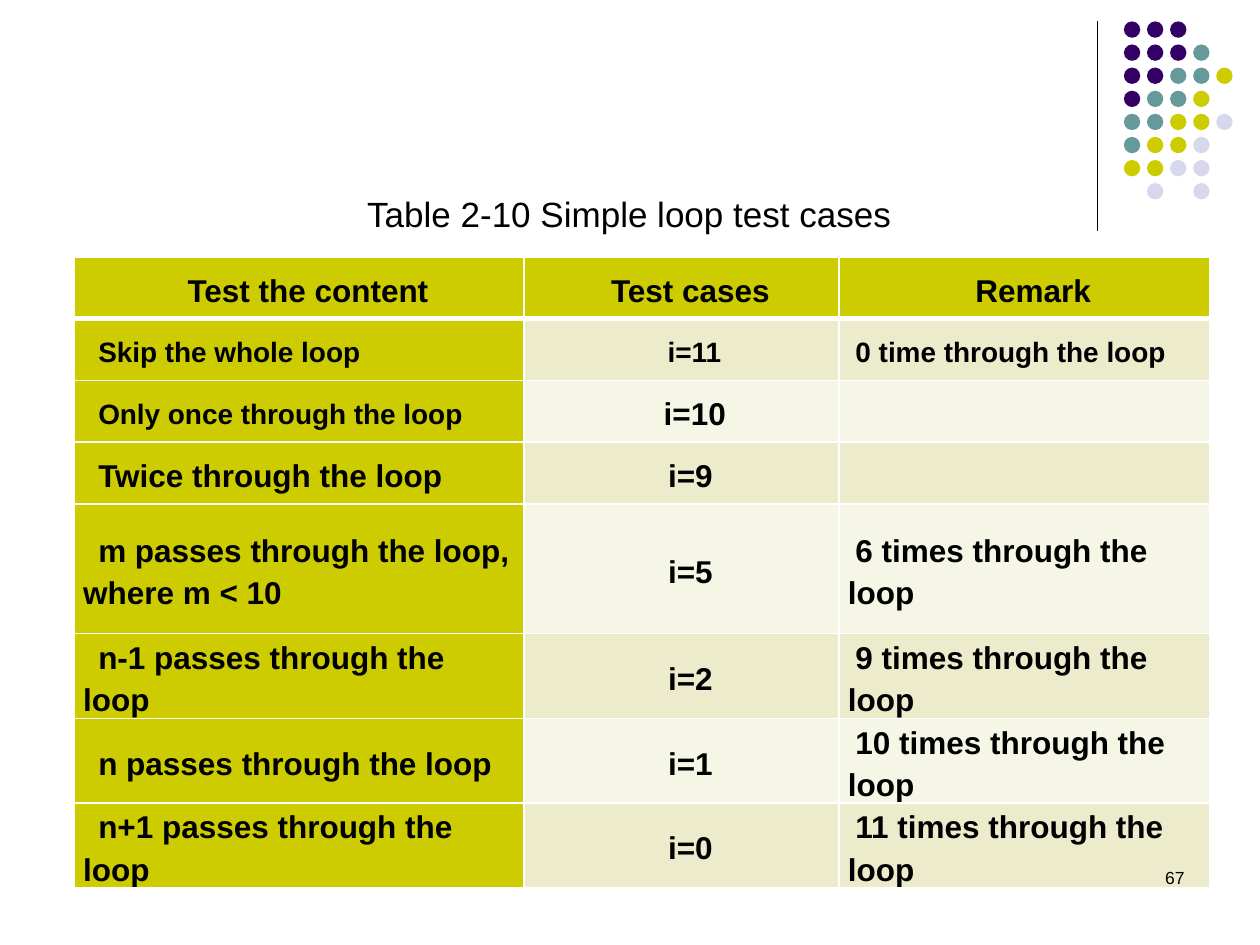
"""Build a slide with a table of simple loop test cases."""
from dataclasses import dataclass
from typing import Any

from lxml import etree
from pptx import Presentation
from pptx.dml.color import RGBColor
from pptx.enum.shapes import MSO_CONNECTOR, MSO_SHAPE
from pptx.enum.text import MSO_ANCHOR, PP_ALIGN
from pptx.oxml.ns import qn
from pptx.util import Inches, Pt

LEFT, CENTER, RIGHT = PP_ALIGN.LEFT, PP_ALIGN.CENTER, PP_ALIGN.RIGHT
MIDDLE = MSO_ANCHOR.MIDDLE
OVAL = MSO_SHAPE.OVAL
STRAIGHT = MSO_CONNECTOR.STRAIGHT


@dataclass(frozen=True)
class Theme:
    font: str = "Arial"
    text: str = "000000"
    border: str = "FFFFFF"
    header: str = "CCCC00"
    bands: tuple[str, str] = ("ECECCC", "F6F6E7")
    caption_size: int = 20
    table_size: int = 18
    small_size: int = 16
    number_size: int = 10


@dataclass(frozen=True)
class Label:
    text: str
    left: float
    top: float
    width: float
    height: float
    size: int
    alignment: PP_ALIGN


@dataclass(frozen=True)
class LoopCase:
    content: str
    case: str
    remark: str = ""
    sizes: tuple[int, int, int] = (Theme.table_size,) * 3
    height: float = 0.49


THEME = Theme()
SMALL, LARGE = THEME.small_size, THEME.table_size
DOT_COLORS = {"P": "330066", "T": "669999", "Y": "CCCC00", "L": "D8D8EC"}
DOT_ROWS = ("PPP", "PPPT", "PPTTY", "PTTY", "TTYYL", "TYYL", "YYLL", " L L")
DOT_LEFT, DOT_TOP, DOT_SIZE, DOT_PITCH = 8.92, 0.17, 0.13, 0.55 / 3
COLUMN_WIDTHS = (3.57, 2.5, 2.94)
COLUMN_INDENTS = (0.12, 0.14, 0.06)
HEADER_INDENT = 0.14
COLUMN_ALIGNMENTS = (LEFT, CENTER, LEFT)
CASES = (
    LoopCase("Test the content", "Test cases", "Remark"),
    LoopCase("Skip the whole loop", " i=11", "0 time through the loop", (SMALL,) * 3),
    LoopCase("Only once through the loop", " i=10", sizes=(SMALL, LARGE, LARGE)),
    LoopCase("Twice through the loop", "i=9"),
    LoopCase("m passes through the loop, where m < 10", "i=5",
             "6 times through the loop", height=1.03),
    LoopCase("n-1 passes through the loop", "i=2", "9 times through the loop"),
    LoopCase("n passes through the loop", "i=1", "10 times through the loop"),
    LoopCase("n+1 passes through the loop", "i=0", "11 times through the loop"),
)
LABELS = (
    Label("Table 2-10 Simple loop test cases", 1.54, 1.48, 6.91, 0.44,
          THEME.caption_size, CENTER),
    Label("67", 7.17, 6.83, 2.33, 0.5, THEME.number_size, RIGHT),
)


def apply_format(target: Any, values: dict[str, Any]) -> None:
    """Set every attribute named in the dict."""
    for name, value in values.items():
        setattr(target, name, value)


def paint(fill: Any, color: str) -> None:
    """Give a fill one solid colour."""
    fill.solid()
    fill.fore_color.rgb = RGBColor.from_string(color)


def write(paragraph: Any, text: str, size: int, bold: bool = False) -> None:
    """Write text in the theme font."""
    font = paragraph.font
    if text:
        run = paragraph.add_run()
        run.text = text
        font = run.font
    apply_format(font, {"name": THEME.font, "size": Pt(size), "bold": bold})
    font.color.rgb = RGBColor.from_string(THEME.text)


def draw_dots(slide: Any) -> None:
    """Draw the corner grid of coloured dots."""
    group = slide.shapes.add_group_shape()
    for row, keys in enumerate(DOT_ROWS):
        for column, key in enumerate(keys):
            if key in DOT_COLORS:
                dot = group.shapes.add_shape(
                    OVAL, Inches(DOT_LEFT + column * DOT_PITCH),
                    Inches(DOT_TOP + row * DOT_PITCH), Inches(DOT_SIZE), Inches(DOT_SIZE))
                dot.shadow.inherit = False
                dot.line.fill.background()
                paint(dot.fill, DOT_COLORS[key])


def draw_rule(slide: Any) -> None:
    """Draw the vertical rule beside the dots."""
    rule = slide.shapes.add_connector(
        STRAIGHT, Inches(8.71), Inches(0.17), Inches(8.71), Inches(1.83))
    rule.line.width = Pt(0.75)
    rule.line.color.rgb = RGBColor.from_string(THEME.text)
    etree.SubElement(rule.element.spPr, qn("a:effectLst"))


def draw_borders(cell: Any, top: int, bottom: int) -> None:
    """Add the four cell borders, with widths in points."""
    properties = cell._tc.get_or_add_tcPr()
    for side, width in {"L": 1, "R": 1, "T": top, "B": bottom}.items():
        line = etree.SubElement(properties, qn(f"a:ln{side}"), w=str(Pt(width)))
        fill = etree.SubElement(line, qn("a:solidFill"))
        etree.SubElement(fill, qn("a:srgbClr"), val=THEME.border)


def draw_cell(cell: Any, row: int, column: int, text: str, size: int) -> None:
    """Format and fill one table cell."""
    is_header = row == 0
    draw_borders(cell, 3 if row == 1 else 1, 3 if is_header else 1)
    is_accent = is_header or column == 0
    paint(cell.fill, THEME.header if is_accent else THEME.bands[(row - 1) % 2])
    apply_format(cell, {
        "vertical_anchor": MIDDLE, "margin_left": Inches(0.07),
        "margin_right": Inches(0.07), "margin_top": 0, "margin_bottom": 0})
    paragraph = cell.text_frame.paragraphs[0]
    apply_format(paragraph, {
        "alignment": CENTER if is_header else COLUMN_ALIGNMENTS[column],
        "line_spacing": 1.2})
    indent = HEADER_INDENT if is_header else COLUMN_INDENTS[column]
    properties = paragraph._p.get_or_add_pPr()
    properties.set("marL", "0")
    properties.set("indent", str(Inches(indent)))
    write(paragraph, text, size, bold=True)


def draw_table(slide: Any) -> None:
    """Draw the table of loop test cases."""
    height = sum(case.height for case in CASES)
    table = slide.shapes.add_table(
        len(CASES), len(COLUMN_WIDTHS), Inches(0.59), Inches(2.04),
        Inches(sum(COLUMN_WIDTHS)), Inches(height)).table
    for column, width in zip(table.columns, COLUMN_WIDTHS):
        column.width = Inches(width)
    for row, case in enumerate(CASES):
        table.rows[row].height = Inches(case.height)
        texts = (case.content, case.case, case.remark)
        for column, (text, size) in enumerate(zip(texts, case.sizes)):
            draw_cell(table.cell(row, column), row, column, text, size)


def draw_label(slide: Any, label: Label) -> None:
    """Draw one line of free text."""
    box = slide.shapes.add_textbox(
        Inches(label.left), Inches(label.top), Inches(label.width), Inches(label.height))
    box.text_frame.word_wrap = True
    paragraph = box.text_frame.paragraphs[0]
    paragraph.alignment = label.alignment
    write(paragraph, label.text, label.size)


def main() -> None:
    """Build and save the presentation."""
    presentation = Presentation()
    apply_format(presentation, {"slide_width": Inches(10), "slide_height": Inches(7.5)})
    slide = presentation.slides.add_slide(presentation.slide_layouts[6])
    draw_rule(slide)
    draw_dots(slide)
    draw_table(slide)
    for label in LABELS:
        draw_label(slide, label)
    presentation.save("out.pptx")


if __name__ == "__main__":
    main()
